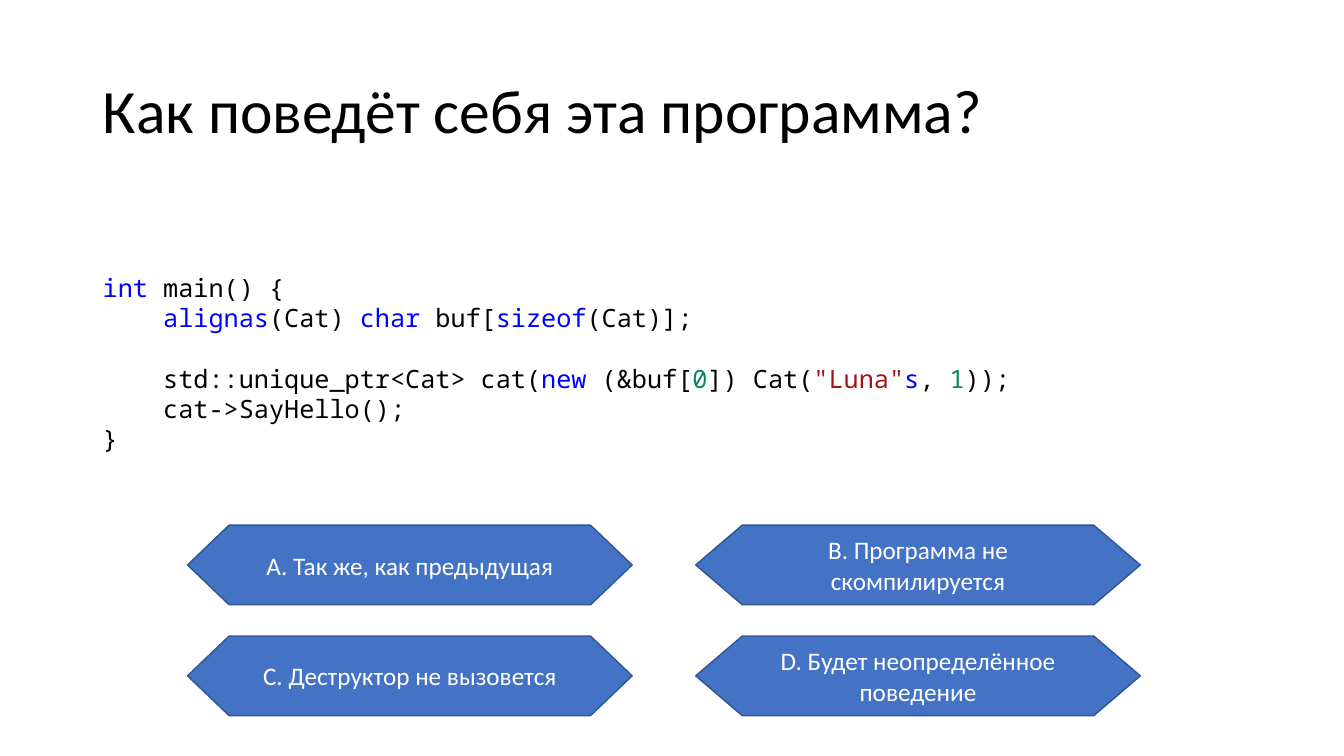
import dataclasses
import pptx
import pptx.dml.color
import pptx.enum.shapes
import pptx.enum.text
import pptx.util

Inches = pptx.util.Inches
Pt = pptx.util.Pt
Align = pptx.enum.text.PP_ALIGN
Anchor = pptx.enum.text.MSO_ANCHOR


@dataclasses.dataclass
class Theme:
    font: str = "Calibri"
    mono: str = "Noto Sans Mono"
    head: int = 44
    base: int = 18
    line: float = 21.6
    ink: str = "000000"
    word: str = "0000FF"
    num: str = "098658"
    quote: str = "A31515"
    fill: str = "4472C4"
    edge: str = "325491"
    light: str = "FFFFFF"


def rgb(code):
    return pptx.dml.color.RGBColor.from_string(code)


def write(para, text, font, size, color, align=Align.LEFT):
    para.alignment = align
    run = para.add_run()
    run.text = text
    run.font.name = font
    run.font.size = Pt(size)
    run.font.color.rgb = rgb(color)


class Page:
    def __init__(self, deck, theme):
        self.theme = theme
        self.slide = deck.slides.add_slide(deck.slide_layouts[5])

    def title(self, text, box):
        shape = self.slide.shapes.title
        shape.left, shape.top, shape.width, shape.height = map(Inches, box)
        frame = shape.text_frame
        frame.vertical_anchor = Anchor.MIDDLE
        frame.auto_size = pptx.enum.text.MSO_AUTO_SIZE.NONE
        para = frame.paragraphs[0]
        para.line_spacing = 0.9
        write(para, text, self.theme.font, self.theme.head, self.theme.ink)

    def code(self, lines, box):
        frame = self.slide.shapes.add_textbox(*map(Inches, box)).text_frame
        frame.word_wrap = True
        for row, (tab, gap, parts) in enumerate(lines):
            para = frame.add_paragraph() if row else frame.paragraphs[0]
            para.space_before = Pt(gap * self.theme.line)
            para._p.get_or_add_pPr().set("marL", str(Inches(0.6 * tab)))
            for text, role in parts:
                write(para, text, self.theme.mono, self.theme.base,
                      getattr(self.theme, role))

    def choice(self, text, box, point):
        kind = pptx.enum.shapes.MSO_SHAPE.HEXAGON
        shape = self.slide.shapes.add_shape(kind, *map(Inches, box))
        shape.adjustments[0] = point
        shape.shadow.inherit = False
        shape.fill.solid()
        shape.fill.fore_color.rgb = rgb(self.theme.fill)
        shape.line.color.rgb = rgb(self.theme.edge)
        shape.line.width = Pt(1)
        frame = shape.text_frame
        frame.word_wrap = True
        frame.vertical_anchor = Anchor.MIDDLE
        write(frame.paragraphs[0], text, self.theme.font, self.theme.base,
              self.theme.light, align=Align.CENTER)


CODE = [
    (0, 0, [("int", "word"), (" main() {", "ink")]),
    (1, 0, [("alignas", "word"), ("(Cat) ", "ink"), ("char ", "word"),
            ("buf[", "ink"), ("sizeof", "word"), ("(Cat)];", "ink")]),
    (1, 1, [("std::unique_ptr<Cat> cat(", "ink"), ("new", "word"),
            (" (&buf[", "ink"), ("0", "num"), ("]) Cat(", "ink"),
            ('"Luna"', "quote"), ("s", "word"), (", ", "ink"),
            ("1", "num"), ("));", "ink")]),
    (1, 0, [("cat->SayHello();", "ink")]),
    (0, 0, [("}", "ink")]),
]
CHOICES = [
    "А. Так же, как предыдущая",
    "B. Программа не скомпилируется",
    "C. Деструктор не вызовется",
    "D. Будет неопределённое поведение",
]
POINTS = [0.522, 0.584]


def main():
    deck = pptx.Presentation()
    deck.slide_width = Inches(13.33)
    deck.slide_height = Inches(7.5)
    page = Page(deck, Theme())
    page.title("Как поведёт себя эта программа?", (0.92, 0.4, 11.5, 1.45))
    page.code(CODE, (0.92, 2.65, 11.5, 1.92))
    for spot, text in enumerate(CHOICES):
        row, col = divmod(spot, 2)
        box = (1.86 + 5.04 * col, 5.21 + 1.1 * row, 4.41, 0.79)
        page.choice(text, box, POINTS[col])
    deck.save("out.pptx")


if __name__ == "__main__":
    main()
